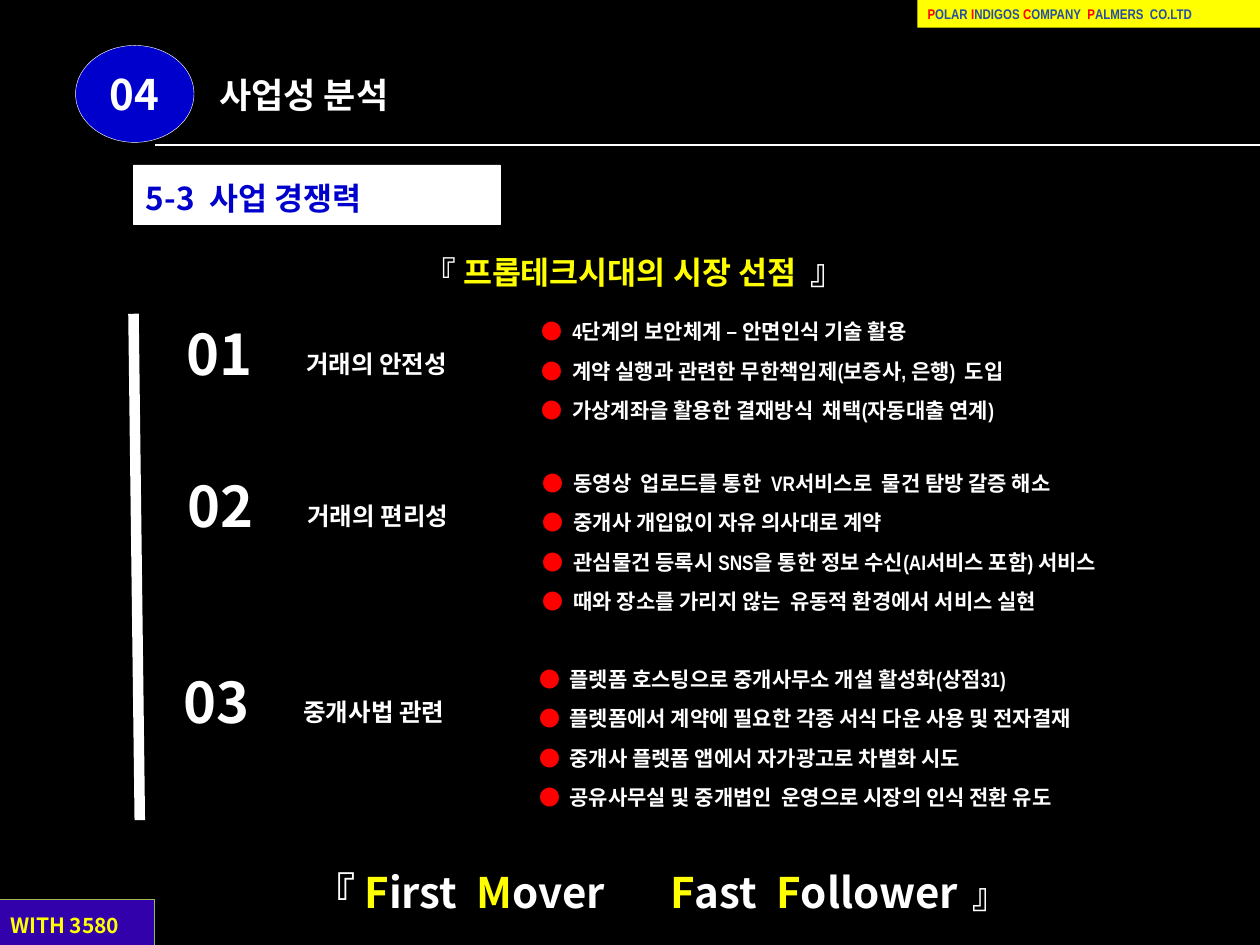
from pptx import Presentation
from pptx.dml.color import RGBColor
from pptx.enum.shapes import MSO_CONNECTOR as Connector, MSO_SHAPE as Shape
from pptx.enum.text import MSO_ANCHOR as Anchor, PP_ALIGN as Align
from pptx.oxml.ns import qn
from pptx.util import Pt
from lxml.etree import SubElement

COLORS = {
    "black": "000000", "white": "FFFFFF", "blue": "0000CC", "yellow": "FFFF00",
    "red": "FF0000", "navy": "274FA4", "purple": "3201AB", "green": "9BBB59",
}
KOREAN = "Noto Sans CJK KR"
NARROW = "Arial Narrow"
SECTIONS = [
    (179.3, 0, "01", "거래의 안전성", [
        "4단계의 보안체계 – 안면인식 기술 활용",
        "계약 실행과 관련한 무한책임제(보증사, 은행)  도입",
        "가상계좌을 활용한 결재방식  채택(자동대출 연계)",
    ]),
    (266, 0.7, "02", "거래의 편리성", [
        "동영상  업로드를 통한  VR서비스로  물건 탐방 갈증 해소",
        "중개사 개입없이 자유 의사대로 계약",
        "관심물건 등록시 SNS을 통한 정보 수신(AI서비스 포함) 서비스",
        "때와 장소를 가리지 않는  유동적 환경에서 서비스 실현",
    ]),
    (378, -1.5, "03", "중개사법 관련", [
        "플렛폼 호스팅으로 중개사무소 개설 활성화(상점31)",
        "플렛폼에서 계약에 필요한 각종 서식 다운 사용 및 전자결재",
        "중개사 플렛폼 앱에서 자가광고로 차별화 시도",
        "공유사무실 및 중개법인  운영으로 시장의 인식 전환 유도",
    ]),
]


def color(name):
    return RGBColor.from_string(COLORS[name])


def add_box(page, area, fill, line=None, width=0.25, kind=Shape.RECTANGLE,
            anchor=Anchor.TOP, inset=(7.2, 3.6)):
    box = page.shapes.add_shape(kind, *(Pt(value) for value in area))
    box.shadow.inherit = False
    box.fill.solid()
    box.fill.fore_color.rgb = color(fill)
    if line:
        box.line.color.rgb = color(line)
        box.line.width = Pt(width)
    else:
        box.line.fill.background()
    frame = box.text_frame
    frame.word_wrap = True
    frame.vertical_anchor = anchor
    frame.margin_left = frame.margin_right = Pt(inset[0])
    frame.margin_top = frame.margin_bottom = Pt(inset[1])
    return box


def add_span(para, text, tint, size, font=KOREAN, spacing=0):
    span = para.add_run()
    span.text = text
    span.font.size = Pt(size)
    span.font.bold = True
    span.font.name = font
    span.font.color.rgb = color(tint)
    properties = span.font._element
    SubElement(properties, qn("a:ea")).set("typeface", KOREAN)
    if spacing:
        properties.set("spc", str(spacing * 100))


def set_para(para, before=0, leading=1, align=Align.LEFT):
    para.alignment = align
    para.space_before = Pt(before)
    para.line_spacing = leading
    return para


def write_line(box, spans, before=0, leading=1, align=Align.LEFT):
    para = set_para(box.text_frame.paragraphs[0], before, leading, align)
    for span in spans:
        add_span(para, *span)


def add_line(page, start, end, width):
    line = page.shapes.add_connector(
        Connector.STRAIGHT, *(Pt(value) for value in start + end))
    line.line.color.rgb = color("white")
    line.line.width = Pt(width)
    SubElement(line._element.spPr, qn("a:effectLst"))


def add_section(page, top, shift, number, label, points):
    area = (303.8 + shift, top, 391, 23 * len(points) + 4.5)
    box = add_box(page, area, "black", "black", 0.75, inset=(5.8, 2.9))
    frame = box.text_frame
    for index, point in enumerate(points):
        para = frame.paragraphs[0] if index == 0 else frame.add_paragraph()
        set_para(para, 8.1)
        add_span(para, "●", "red", 12)
        add_span(para, "  " + point, "white", 12, NARROW)

    box = add_box(page, (99.4 + shift, top, 57.5, 41), "black", "black", 1)
    write_line(box, [(number, "white", 32)], 6.4)
    box = add_box(page, (167.8 + shift, top, 107.3, 41), "black", "black", 1)
    write_line(box, [(label, "white", 14)], 2.8, 2)


def add_header(page):
    box = add_box(page, (116.6, 37.4, 203, 33.8), "black", "black",
                  kind=Shape.ROUNDED_RECTANGLE, anchor=Anchor.MIDDLE)
    write_line(box, [("사업성 분석", "white", 20)])
    box = add_box(page, (43.2, 26, 67.7, 55.4), "blue", "white",
                  kind=Shape.OVAL, anchor=Anchor.MIDDLE)
    write_line(box, [("04", "white", 24)], align=Align.CENTER)
    add_line(page, (88.6, 82.8), (732, 82.8), 0.75)
    box = add_box(page, (76.3, 94.3, 209.5, 33.8), "white", "white")
    write_line(box, [("5-3  사업 경쟁력", "blue", 18)], 3.6, 1.2)


def add_slogans(page):
    box = add_box(page, (98, 134, 525.6, 33), "black", "black", 1)
    write_line(box, [
        (" 『 ", "white", 18),
        ("프롭테크시대의 시장 선점  ", "yellow", 18),
        ("』", "white", 20),
    ], 3.6, 1.2, Align.CENTER)

    box = add_box(page, (99.4, 486, 555.8, 33), "black", "black", 1)
    spans = [("『 ", "white", 24)]
    for initial, rest in (("F", "irst  "), ("M", "over"), ("F", "ast  "), ("F", "ollower")):
        spans += [(initial, "yellow", 24), (rest, "white", 24)]
        if rest == "over":
            spans.append((" ", "white", 24, KOREAN, 32))
    spans += [("  ", "white", 18), ("』", "white", 20)]
    write_line(box, spans, 4.8, 1.2, Align.CENTER)


def add_labels(page):
    box = add_box(page, (524.2, 0, 195.8, 15.8), "yellow", inset=(5.8, 2.9))
    spans = []
    for word in ("POLAR ", "INDIGOS ", "COMPANY  ", "PALMERS  CO.LTD"):
        spans += [(word[0], "red", 8, NARROW), (word[1:], "navy", 8, NARROW)]
    write_line(box, spans, 8.1)
    box = add_box(page, (-5, 514, 92.9, 26), "purple", "green")
    write_line(box, [(" ", "white", 16), ("WITH 3580", "yellow", 12)], 3.2)


def main():
    deck = Presentation()
    deck.slide_width, deck.slide_height = Pt(720), Pt(540)
    page = deck.slides.add_slide(deck.slide_layouts[6])
    add_box(page, (-5, 0, 728, 540), "black")
    add_header(page)
    add_line(page, (76.3, 179.3), (79.9, 468.7), 6)
    for section in SECTIONS:
        add_section(page, *section)
    add_slogans(page)
    add_labels(page)
    deck.save("out.pptx")


if __name__ == "__main__":
    main()
